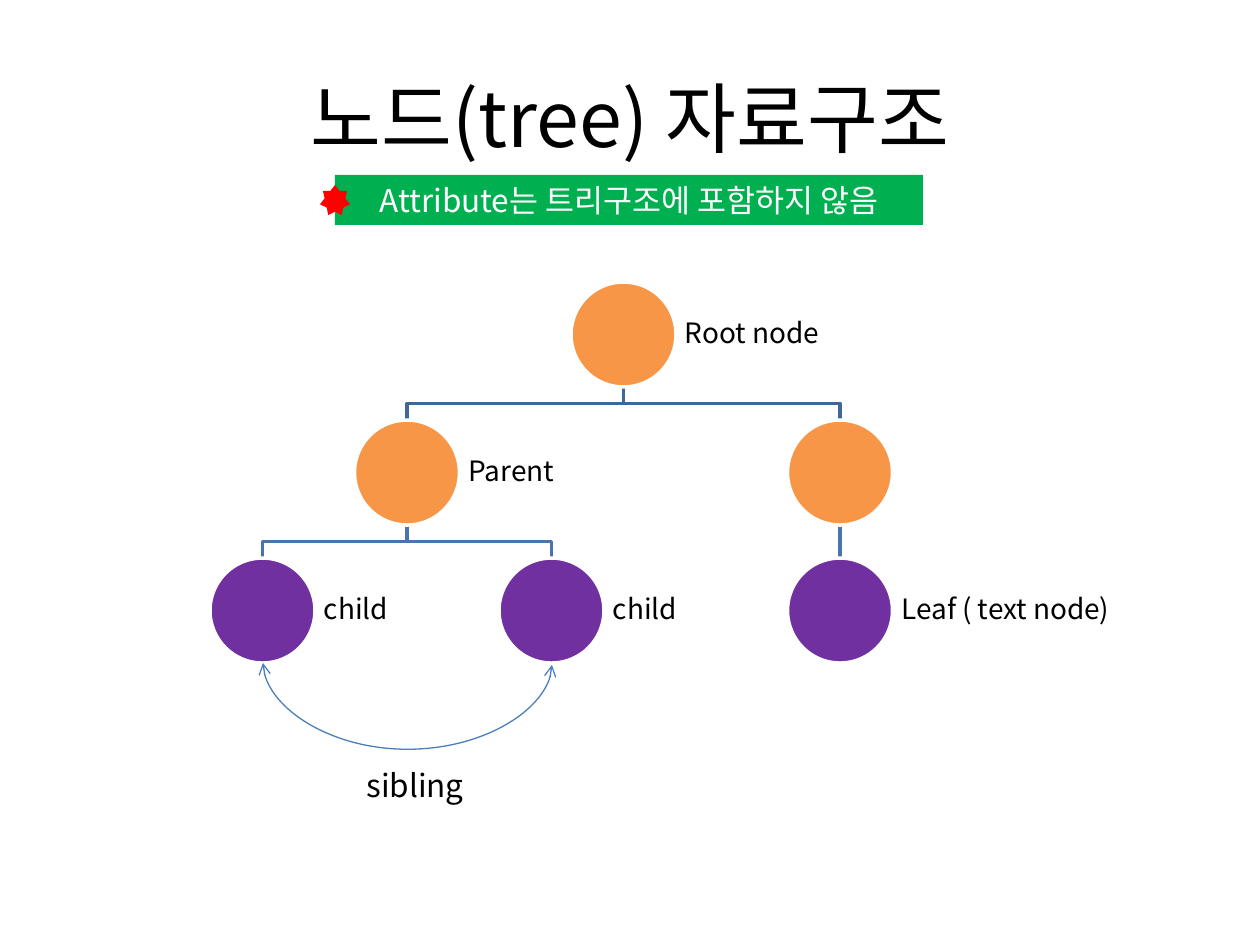
from dataclasses import dataclass

from lxml.etree import SubElement
from pptx import Presentation
from pptx.dml.color import RGBColor
from pptx.enum.shapes import MSO_CONNECTOR as Link, MSO_SHAPE as Preset
from pptx.enum.text import MSO_ANCHOR as Anchor, PP_ALIGN as Align
from pptx.oxml.ns import qn
from pptx.util import Emu, Pt

PX = 914400 / 126
NODE = 105  # circle diameter
ROW_TOP, ROW_STEP = 282, 138


def px(length):
    return Emu(round(length * PX))


@dataclass(frozen=True)
class Theme:
    font: str = "Noto Sans CJK KR"
    text: str = "000000"
    white: str = "FFFFFF"
    element: str = "F79646"
    leaf: str = "7030A0"
    banner: str = "00B050"
    star: str = "FF0000"
    root_edge: str = "3F6797"
    child_edge: str = "4875AC"
    sibling_edge: str = "4B7EBC"
    title_size: int = 44
    note_size: int = 18
    label_size: int = 16


class TreeSlide:
    def __init__(self, deck, theme):
        self.theme = theme
        self.shapes = deck.slides.add_slide(deck.slide_layouts[6]).shapes

    def add_words(self, shape, words, size, color, align=Align.LEFT, anchor=Anchor.TOP):
        frame = shape.text_frame
        frame.word_wrap = True
        frame.vertical_anchor = anchor
        paragraph = frame.paragraphs[0]
        paragraph.alignment = align
        run = paragraph.add_run()
        run.text = words
        run.font.size = Pt(size)
        run.font.color.rgb = RGBColor.from_string(color)
        run.font.name = self.theme.font
        SubElement(run.font._element, qn("a:ea"), typeface=self.theme.font)
        return paragraph

    def text(self, box, words, size, **layout):
        area = self.shapes.add_textbox(*map(px, box))
        self.add_words(area, words, size, self.theme.text, **layout)

    def shape(self, preset, box, fill, outline=None):
        shape = self.shapes.add_shape(preset, *map(px, box))
        shape.shadow.inherit = False
        shape.fill.solid()
        shape.fill.fore_color.rgb = RGBColor.from_string(fill)
        self.stroke(shape.line, outline, 2)
        return shape

    def stroke(self, line, color, width):
        if color is None:
            line.fill.background()
            return
        line.color.rgb = RGBColor.from_string(color)
        line.width = Pt(width)

    def node(self, center, level, fill, label="", label_width=158):
        left, top = center - NODE / 2, ROW_TOP + level * ROW_STEP
        self.shape(Preset.OVAL, (left, top, NODE, NODE), fill, self.theme.white)
        if label:
            area = self.shapes.add_textbox(*map(px, (left + NODE, top, label_width, NODE)))
            frame = area.text_frame
            frame.margin_left = frame.margin_right = px(9)
            frame.margin_top = frame.margin_bottom = px(9)
            paragraph = self.add_words(area, label, self.theme.label_size,
                                       self.theme.text, anchor=Anchor.MIDDLE)
            paragraph.line_spacing = 0.9

    def edge(self, parent, child, level, color):
        """Join a node on the given level to a child one level below."""
        start = ROW_TOP + level * ROW_STEP + NODE
        end = ROW_TOP + (level + 1) * ROW_STEP
        if parent == child:
            line = self.connector(Link.STRAIGHT, (parent, start), (child, end))
            self.stroke(line.line, color, 2)
            return
        middle = (start + end) / 2
        pen = self.shapes.build_freeform(px(parent), px(start))
        pen.add_line_segments([(px(parent), px(middle)), (px(child), px(middle)),
                               (px(child), px(end))], close=False)
        elbow = pen.convert_to_shape()
        elbow.shadow.inherit = False
        elbow.fill.background()
        self.stroke(elbow.line, color, 2)

    def connector(self, kind, begin, end):
        line = self.shapes.add_connector(kind, *map(px, (*begin, *end)))
        SubElement(line._element.spPr, qn("a:effectLst"))
        return line

    def sibling_arc(self, left, right, top, drop, color):
        """Draw a two-headed curve below two nodes, as a connector turned 270 degrees."""
        rise = 2
        middle, half = (left + right) / 2, (right - left) / 2
        arc = self.connector(Link.CURVE, (middle + rise / 2, top + rise / 2 - half),
                             (middle - rise / 2, top + rise / 2 + half))
        properties = arc._element.spPr
        properties.find(qn("a:xfrm")).set("rot", str(270 * 60000))
        geometry = properties.find(qn("a:prstGeom"))
        guides = geometry.find(qn("a:avLst"))
        if guides is None:
            guides = SubElement(geometry, qn("a:avLst"))
        SubElement(guides, qn("a:gd"), name="adj1", fmla=f"val {drop * 100000 // rise}")
        self.stroke(arc.line, color, 0.75)
        for end in ("a:headEnd", "a:tailEnd"):
            SubElement(properties.find(qn("a:ln")), qn(end), type="arrow")


def main():
    deck = Presentation()
    deck.slide_width, deck.slide_height = px(1260), px(945)
    theme = Theme()
    slide = TreeSlide(deck, theme)

    slide.text((63, 38, 1134, 158), "노드(tree) 자료구조", theme.title_size,
               align=Align.CENTER, anchor=Anchor.MIDDLE)

    root, parent, right = 623.5, 407, 840
    first_child, second_child = 262.5, 551.5
    edges = [
        (right, right, 1, theme.child_edge),
        (root, right, 0, theme.root_edge),
        (parent, second_child, 1, theme.child_edge),
        (parent, first_child, 1, theme.child_edge),
        (root, parent, 0, theme.root_edge),
    ]
    for edge in edges:
        slide.edge(*edge)

    nodes = [
        (root, 0, theme.element, "Root node"),
        (parent, 1, theme.element, "Parent"),
        (first_child, 2, theme.leaf, "child"),
        (second_child, 2, theme.leaf, "child"),
        (right, 1, theme.element),
        (right, 2, theme.leaf, "Leaf ( text node)", 243),
    ]
    for node in nodes:
        slide.node(*node)

    slide.sibling_arc(263, 552, 663, 87, theme.sibling_edge)
    slide.text((354, 760, 126, 50), "sibling", theme.note_size)

    banner = slide.shape(Preset.RECTANGLE, (335, 175, 588, 50), theme.banner)
    slide.add_words(banner, "Attribute는 트리구조에 포함하지 않음", theme.note_size,
                    theme.white, align=Align.CENTER)
    slide.shape(Preset.STAR_7_POINT, (320, 185, 30, 30), theme.star)

    deck.save("out.pptx")


if __name__ == "__main__":
    main()
